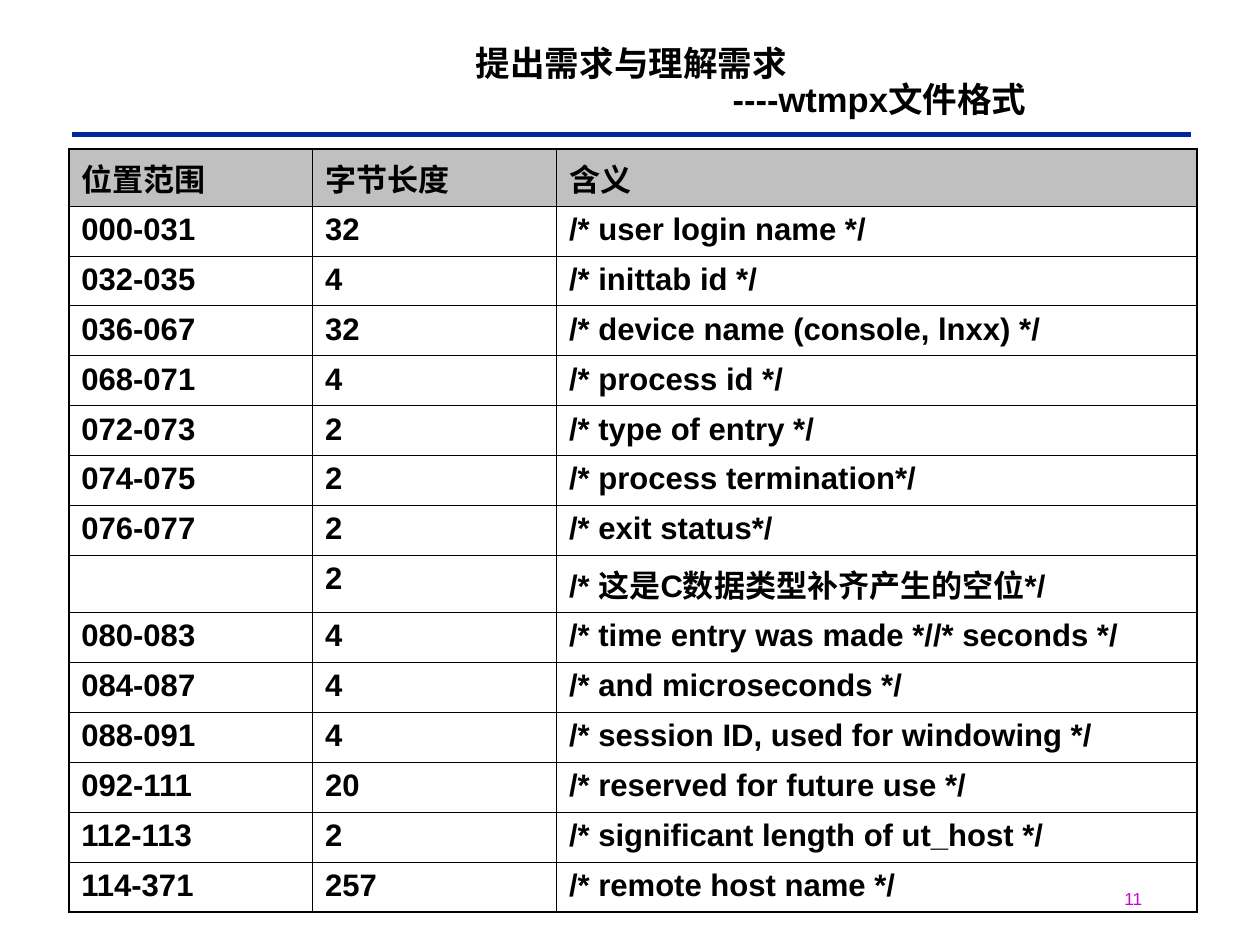
from lxml import etree
from pptx import Presentation
from pptx import util as u
from pptx.dml.color import RGBColor
from pptx.enum import shapes, text
from pptx.oxml.ns import qn

TITLE = "提出需求与理解需求"
SUBTITLE = "----wtmpx文件格式"
PAGE = "11"
ROWS = [
    ("位置范围", "字节长度", "含义"),
    ("000-031", "32", "/* user login name */"),
    ("032-035", "4", "/* inittab id */"),
    ("036-067", "32", "/* device name (console, lnxx) */"),
    ("068-071", "4", "/* process id */"),
    ("072-073", "2", "/* type of entry */"),
    ("074-075", "2", "/* process termination*/"),
    ("076-077", "2", "/* exit status*/"),
    ("", "2", "/* 这是C数据类型补齐产生的空位*/"),
    ("080-083", "4", "/* time entry was made *//* seconds */"),
    ("084-087", "4", "/* and microseconds */"),
    ("088-091", "4", "/* session ID, used for windowing */"),
    ("092-111", "20", "/* reserved for future use */"),
    ("112-113", "2", "/* significant length of ut_host */"),
    ("114-371", "257", "/* remote host name */"),
]
THEME = {
    "font": "Arial", "ink": "000000", "rule": "00279F", "page": "CC00CC",
    "header": "C0C0C0", "title_size": 20, "cell_size": 18, "page_size": 10,
    "rule_width": 2.75, "outer": 1.08, "inner": 0.45,
}
SLIDE_W, SLIDE_H = 730, 547.2
RULE_X1, RULE_X2, RULE_Y = 42, 689.8, 77.8
TITLE_BOX = (48, 18, 635.8, 54.7)
SUBTITLE_INDENT = 287.4
PAGE_BOX = (644.4, 511.2, 59.8, 19.4)
TABLE_X, TABLE_Y = 39.9, 86.4
LATIN_ROW_H, CHINESE_ROW_H = 28.96, 33
COL_W = (141.3, 141.3, 371.1)


def add_run(p, words, size, color, bold=False):
    r = p.add_run()
    r.text = words
    r.font.name = THEME["font"]
    r.font.size = u.Pt(size)
    r.font.bold = bold
    r.font.color.rgb = RGBColor.from_string(color)


def add_box(s, box):
    tf = s.shapes.add_textbox(*map(u.Pt, box)).text_frame
    tf.word_wrap = True
    return tf


def add_border(cell, side, width):
    ln = etree.SubElement(cell._tc.get_or_add_tcPr(), qn(f"a:ln{side}"), w=str(u.Pt(width)))
    fill = etree.SubElement(ln, qn("a:solidFill"))
    etree.SubElement(fill, qn("a:srgbClr"), val=THEME["ink"])


def add_rule(s):
    rule = s.shapes.add_connector(
        shapes.MSO_CONNECTOR.STRAIGHT, *map(u.Pt, (RULE_X1, RULE_Y, RULE_X2, RULE_Y)))
    rule.line.color.rgb = RGBColor.from_string(THEME["rule"])
    rule.line.width = u.Pt(THEME["rule_width"])
    etree.SubElement(rule._element.spPr, qn("a:effectLst"))


def add_title(s):
    tf = add_box(s, TITLE_BOX)
    tf.vertical_anchor = text.MSO_ANCHOR.BOTTOM
    for p, words in ((tf.paragraphs[0], TITLE), (tf.add_paragraph(), SUBTITLE)):
        p.alignment = text.PP_ALIGN.CENTER
        p.line_spacing = 0.87
        add_run(p, words, THEME["title_size"], THEME["ink"], True)
    p._p.get_or_add_pPr().set("marL", str(u.Pt(SUBTITLE_INDENT)))


def add_format_table(s):
    n_rows, n_cols = len(ROWS), len(COL_W)
    heights = [LATIN_ROW_H if "".join(row).isascii() else CHINESE_ROW_H for row in ROWS]
    table = s.shapes.add_table(
        n_rows, n_cols, *map(u.Pt, (TABLE_X, TABLE_Y, sum(COL_W), sum(heights)))).table
    table.first_row = table.horz_banding = False
    for column, width in zip(table.columns, COL_W):
        column.width = u.Pt(width)
    for i, row in enumerate(ROWS):
        table.rows[i].height = u.Pt(heights[i])
        for j, words in enumerate(row):
            cell = table.cell(i, j)
            edges = {"L": j == 0, "R": j == n_cols - 1, "T": i == 0, "B": i == n_rows - 1}
            for side, is_outer in edges.items():
                add_border(cell, side, THEME["outer" if is_outer else "inner"])
            if i == 0:
                cell.fill.solid()
                cell.fill.fore_color.rgb = RGBColor.from_string(THEME["header"])
            else:
                cell.fill.background()
            if words:
                p = cell.text_frame.paragraphs[0]
                add_run(p, words, THEME["cell_size"], THEME["ink"], True)


def main():
    prs = Presentation()
    prs.slide_width, prs.slide_height = u.Pt(SLIDE_W), u.Pt(SLIDE_H)
    s = prs.slides.add_slide(prs.slide_layouts[6])
    add_rule(s)
    add_run(add_box(s, PAGE_BOX).paragraphs[0], PAGE, THEME["page_size"], THEME["page"])
    add_title(s)
    add_format_table(s)
    prs.save("out.pptx")


if __name__ == "__main__":
    main()
